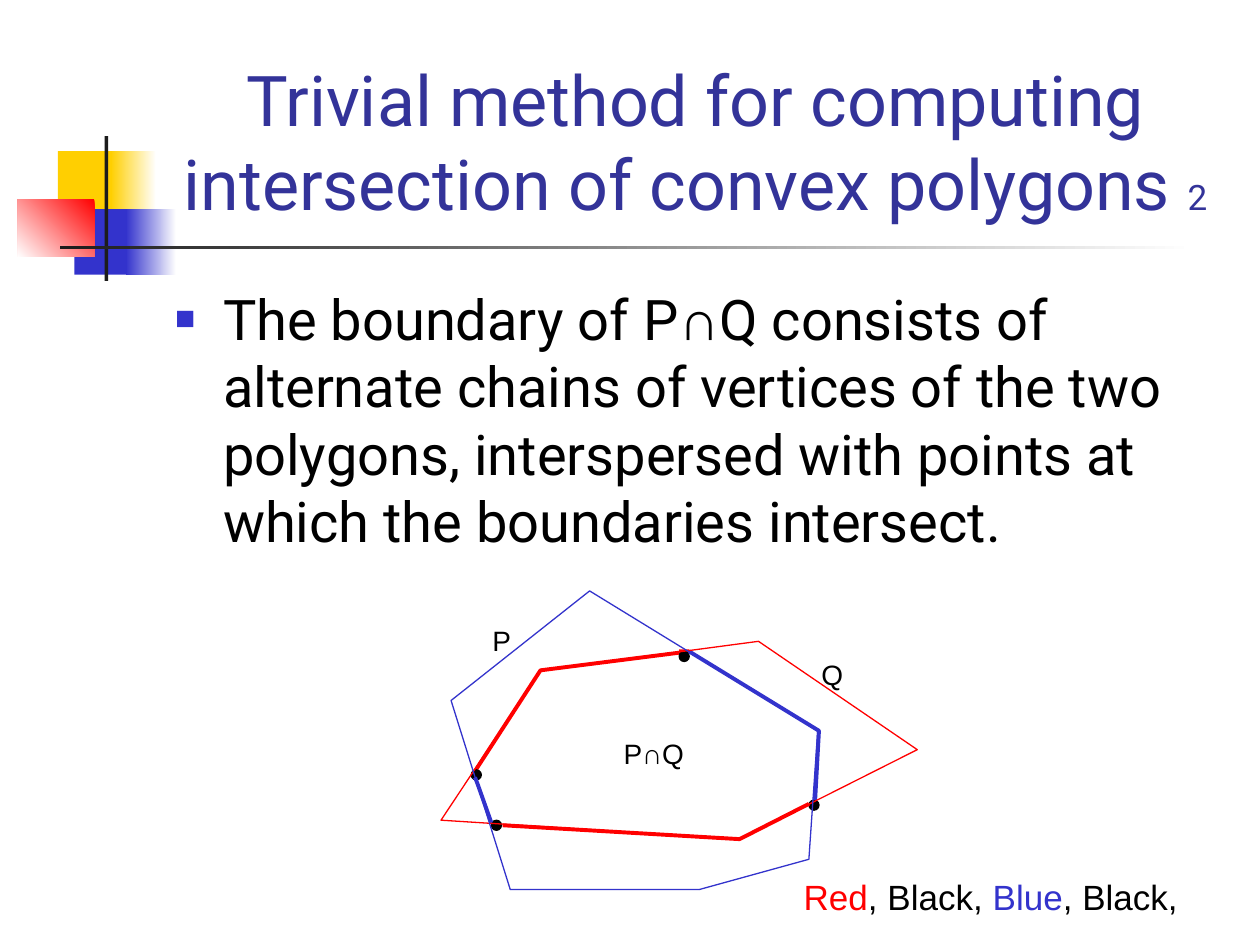
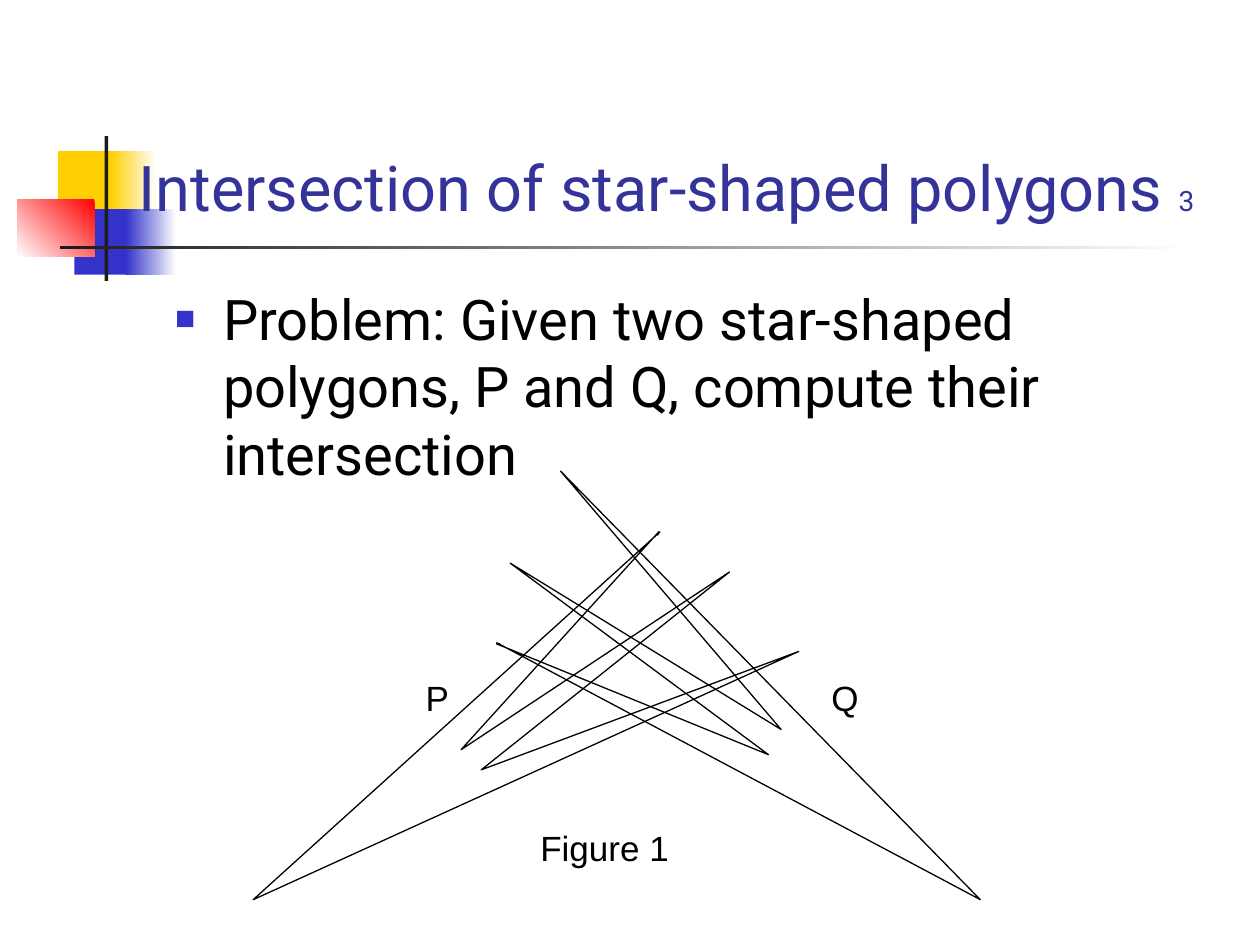
from lxml import etree
from pptx import Presentation
from pptx.dml.color import RGBColor
from pptx.enum import shapes, text
from pptx.oxml import ns
from pptx.util import Inches, Pt

YELLOW = RGBColor(0xFF, 0xCF, 0x01)
BLUE = RGBColor(0x33, 0x33, 0xCC)
RED = RGBColor(0xFF, 0x00, 0x00)
NAVY = RGBColor(0x33, 0x33, 0x99)
CHARCOAL = RGBColor(0x1C, 0x1C, 0x1C)
BLACK = RGBColor(0x00, 0x00, 0x00)
WHITE = RGBColor(0xFF, 0xFF, 0xFF)
THICK, THIN = 2.25, 0.75


def write(sp, runs, box=None, size=20, font="Arial", color=BLACK, align=None,
          anchor=None, wrap=False, before=0, bullet=False):
    """Fill sp with one paragraph; a run is (text, overrides of size, font, color)."""
    if box:
        sp.left, sp.top, sp.width, sp.height = map(Inches, box)
    tf = sp.text_frame
    tf.word_wrap = wrap
    tf.auto_size = text.MSO_AUTO_SIZE.NONE if wrap else text.MSO_AUTO_SIZE.SHAPE_TO_FIT_TEXT
    tf.vertical_anchor = anchor
    p = tf.paragraphs[0]
    p.alignment = align
    p.space_before = Pt(before)
    for words, own in runs:
        r = p.add_run()
        r.text = words
        r.font.size = Pt(own.get("size", size))
        r.font.name = own.get("font", font)
        r.font.color.rgb = own.get("color", color)
    if bullet:
        pPr = p._p.get_or_add_pPr()
        pPr.set("marL", str(Inches(0.38)))
        pPr.set("indent", str(Inches(-0.38)))
        clr = etree.SubElement(pPr, ns.qn("a:buClr"))
        etree.SubElement(clr, ns.qn("a:srgbClr"), val=str(BLUE))
        etree.SubElement(pPr, ns.qn("a:buSzPct"), val="60000")
        etree.SubElement(pPr, ns.qn("a:buFont"), typeface="Arial")
        etree.SubElement(pPr, ns.qn("a:buChar"), char="■")


def outline(s, points, color=BLACK, width=THIN, close=False):
    """Draw an unfilled path through points given in inches."""
    pts = [(Inches(x), Inches(y)) for x, y in points]
    builder = s.shapes.build_freeform(*pts[0])
    builder.add_line_segments(pts[1:], close=close)
    sp = builder.convert_to_shape()
    sp.shadow.inherit = False
    sp.fill.background()
    sp.line.color.rgb = color
    sp.line.width = Pt(width)


prs = Presentation()
prs.slide_width, prs.slide_height = Inches(10), Inches(7.5)
layout = prs.slide_layouts[1]

SLIDES = [
    dict(title=[("Trivial method for computing intersection of convex polygons ", {}),
                ("2", dict(size=20))],
         title_box=(1.26, 0.23, 8.52, 1.6), title_size=40,
         body=[("The boundary of P", {}), ("∩", dict(font="Arial")),
               ("Q consists of alternate chains of vertices of the two polygons, "
                "interspersed with points at which the boundaries intersect.", {})]),
    dict(title=[("Intersection of star-shaped polygons ", {}), ("3", dict(size=16))],
         title_box=(0.83, 0.5, 8.92, 1.33), title_size=36,
         body=[("Problem: Given two star-shaped polygons, P and Q, "
                "compute their intersection", {})]),
]
for content in SLIDES:
    s = prs.slides.add_slide(layout)
    write(s.shapes.title, content["title"], content["title_box"], font="Roboto",
          size=content["title_size"], color=NAVY, align=text.PP_ALIGN.CENTER,
          anchor=text.MSO_ANCHOR.BOTTOM, wrap=True)
    write(s.placeholders[1], content["body"], (1.29, 2.21, 8.5, 4.5), font="Roboto",
          size=32, anchor=text.MSO_ANCHOR.TOP, wrap=True, before=8, bullet=True)

convex, star = prs.slides

# Shared squares and rules: built on a slide, then moved to the layout.
# Each has a box, its colours and a counter-clockwise gradient angle.
DECORATION = [
    ((0.46, 1.2, 0.48, 0.52), [YELLOW], None),
    ((0.88, 1.2, 0.36, 0.52), [WHITE, YELLOW], 180),
    ((0.59, 1.66, 0.46, 0.52), [BLUE], None),
    ((1, 1.66, 0.4, 0.52), [WHITE, BLUE], 180),
    ((0.14, 1.58, 0.61, 0.46), [RED, WHITE], 225),
    ((0.83, 1.08, 0.03, 1.15), [CHARCOAL], None),
    ((0.48, 1.95, 9, 0.03), [WHITE, CHARCOAL], 180),
]
for position, (box, colors, angle) in enumerate(DECORATION, start=2):
    sp = convex.shapes.add_shape(shapes.MSO_SHAPE.RECTANGLE, *map(Inches, box))
    sp.shadow.inherit = False
    sp.line.fill.background()
    if angle is None:
        sp.fill.solid()
        sp.fill.fore_color.rgb = colors[0]
    else:
        sp.fill.gradient()
        sp.fill.gradient_angle = angle
        for stop, color in zip(sp.fill.gradient_stops, colors):
            stop.color.rgb = color
    layout.shapes._spTree.insert(position, sp._element)

# Convex polygons: crossing points, chains of the intersection, whole polygons
outline(convex, [(3.77, 6.12), (4.29, 5.32), (5.47, 5.17), (5.39, 5.17)], RED, THICK)
for x, y in [(5.39, 5.17), (6.42, 6.35), (3.74, 6.11), (3.9, 6.51)]:
    dot = convex.shapes.add_shape(shapes.MSO_SHAPE.OVAL, Inches(x), Inches(y),
                                  Inches(0.08), Inches(0.08))
    dot.shadow.inherit = False
    dot.fill.solid()
    dot.fill.fore_color.rgb = BLACK
    dot.line.color.rgb = BLACK
    dot.line.width = Pt(THIN)
outline(convex, [(5.47, 5.17), (6.5, 5.8), (6.47, 6.35)], BLUE, THICK)
outline(convex, [(6.42, 6.38), (5.87, 6.66), (3.99, 6.55)], RED, THICK)
outline(convex, [(3.77, 6.17), (3.79, 6.22), (3.9, 6.53)], BLUE, THICK)
outline(convex, [(3.5, 6.51), (4.29, 5.32), (6.02, 5.09), (7.28, 5.95), (5.87, 6.66)],
        RED, close=True)
outline(convex, [(4.68, 4.69), (6.49, 5.8), (6.42, 6.82), (5.55, 7.06), (4.05, 7.06),
                 (3.58, 5.56)], BLUE, close=True)

# Star-shaped polygons
outline(star, [(5.22, 4.25), (5.23, 4.22), (3.66, 5.95), (5.79, 4.54), (3.82, 6.11),
               (6.34, 5.17), (2.01, 7.14), (5.24, 4.22)])
outline(star, [(3.97, 5.11), (3.94, 5.11), (6.1, 5.99), (4.05, 4.47), (6.2, 5.79),
               (4.45, 3.74), (7.78, 7.14), (3.94, 5.1)])

LABELS = [
    (convex, (6.28, 6.9, 3.47, 0.44), 20,
     [("Red", dict(color=RED)), (", Black, ", {}), ("Blue", dict(color=BLUE)),
      (", Black, …", {})]),
    (convex, (3.81, 4.9, 0.33, 0.37), 16, [("P", {})]),
    (convex, (6.42, 5.17, 0.37, 0.37), 16, [("Q", {})]),
    (convex, (4.85, 5.74, 0.75, 0.44), 16, [("P∩Q", {}), (" ", dict(size=20))]),
    (star, (3.28, 5.32, 0.37, 0.44), 20, [("P", {})]),
    (star, (6.5, 5.32, 0.41, 0.44), 20, [("Q", {})]),
    (star, (4.19, 6.51, 1.26, 0.44), 20, [("Figure 1", {})]),
]
for s, box, size, runs in LABELS:
    write(s.shapes.add_textbox(*map(Inches, box)), runs, size=size)

prs.save("out.pptx")
